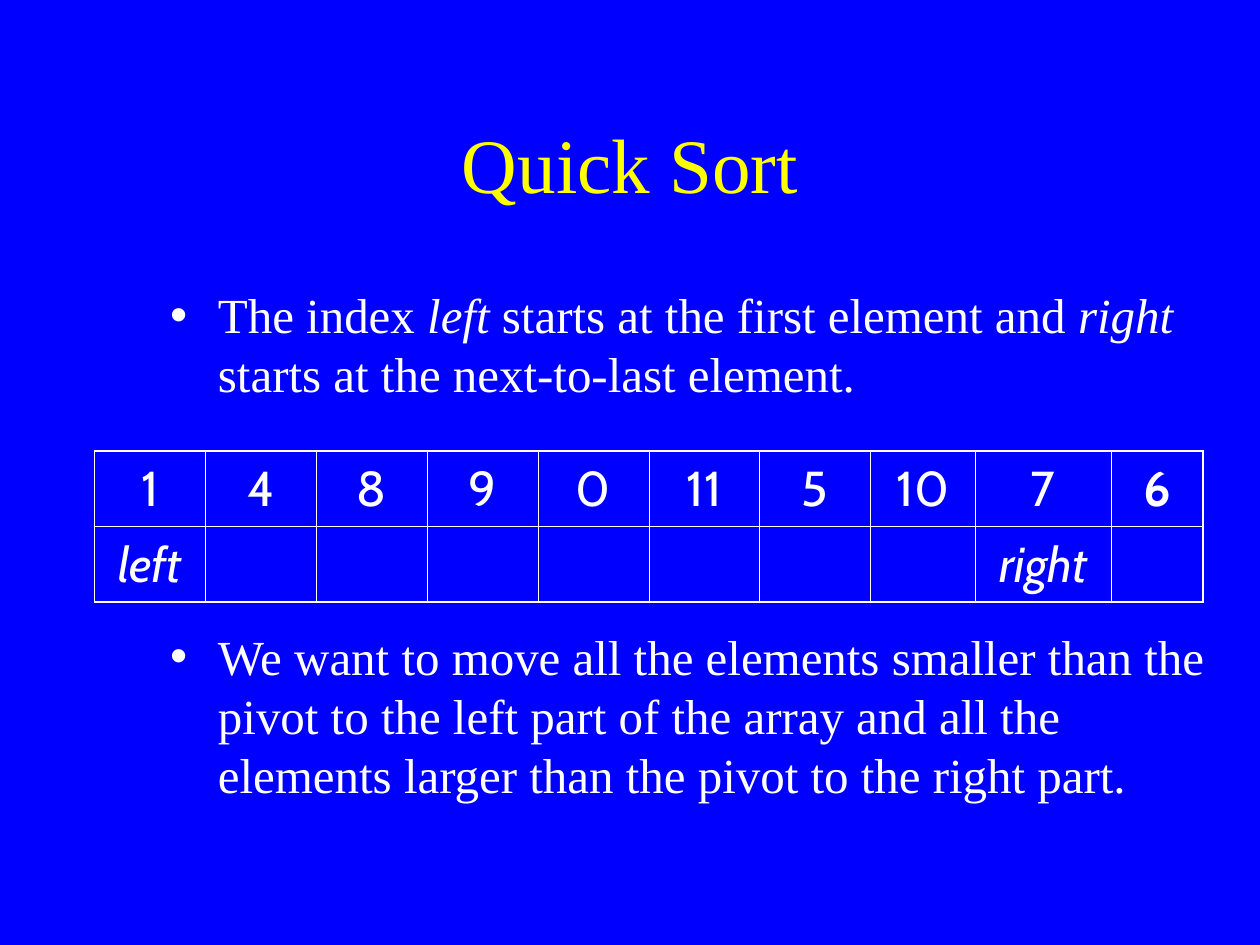
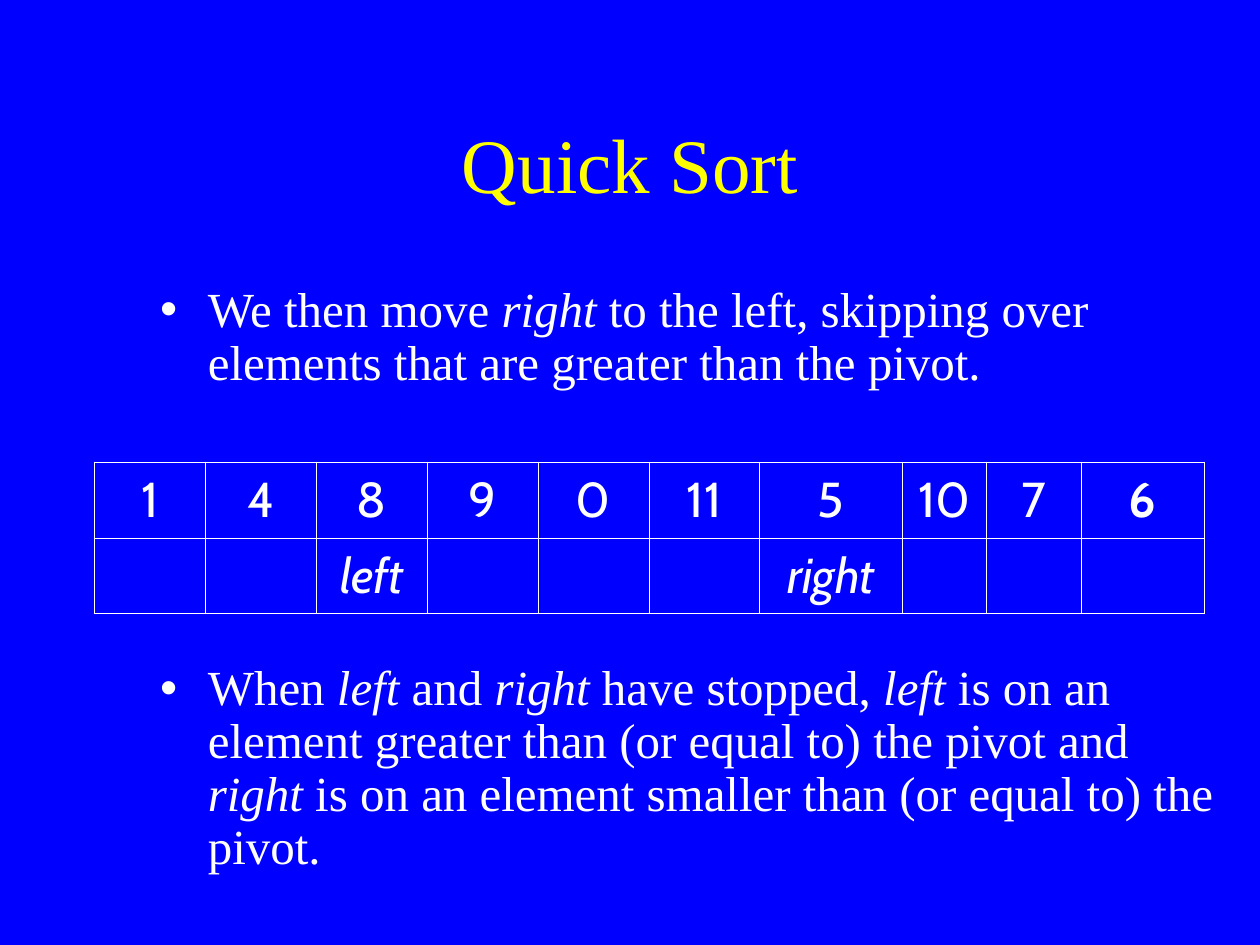
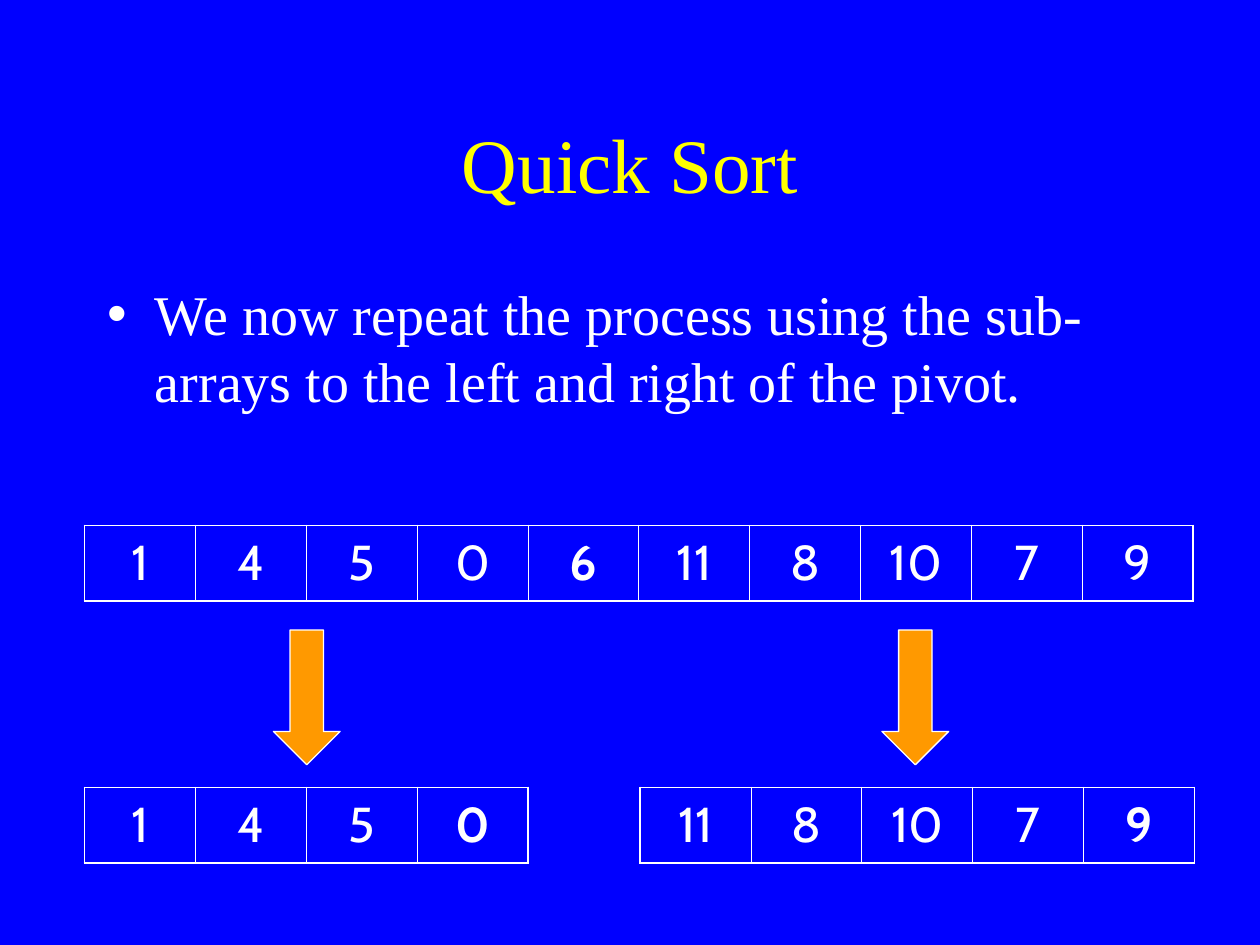
from lxml import etree
from pptx import Presentation
from pptx.dml.color import RGBColor
from pptx.enum.shapes import MSO_SHAPE
from pptx.enum.text import MSO_ANCHOR, MSO_AUTO_SIZE, PP_ALIGN
from pptx.oxml.ns import qn
from pptx.util import Inches, Pt

CENTER = PP_ALIGN.CENTER
LEFT = PP_ALIGN.LEFT
MIDDLE = MSO_ANCHOR.MIDDLE
TOP = MSO_ANCHOR.TOP
NO_AUTOFIT = MSO_AUTO_SIZE.NONE
DOWN_ARROW = MSO_SHAPE.DOWN_ARROW

COLORS = {"background": "0000FF", "title": "FFFF00", "text": "FFFFFF", "arrow": "FF9900"}
TEXT_FONT = "Times New Roman"
CELL_FONT = "Cabin"
TITLE = "Quick Sort"
TITLE_BOX = (0.75, 0.67, 8.5, 1.25)
INDENT = 0.38
CELL_WIDTH = 0.88
ROW_HEIGHT = 0.6
OUTER_LINE = 1.08
INNER_LINE = 0.45
ARROW_SIZE = (0.53, 1.07)

SLIDES = [
    {
        "body": (1.25, 2.21, 8.54, 5.29),
        "size": 28,
        "line_spacing": 1.0,
        "gap": 128,
        "bullets": [
            "The index *left* starts at the first element and *right* starts at the next-to-last element.",
            "We want to move all the elements smaller than the pivot to the left part of the array "
            "and all the elements larger than the pivot to the right part.",
        ],
        "arrays": [
            {"at": (0.75, 3.58), "values": [1, 4, 8, 9, 0, 11, 5, 10, 7, 6], "bold": 9,
             "markers": {0: "left", 8: "right"}, "widths": {7: 0.83, 8: 1.08, 9: 0.73}},
        ],
        "arrows": [],
    },
    {
        "body": (1.17, 2.21, 8.63, 5.04),
        "size": 28,
        "line_spacing": 0.9,
        "gap": 156,
        "bullets": [
            "We then move *right* to the left, skipping over elements that are greater than the pivot.",
            "When *left* and *right* have stopped, *left* is on an element greater than (or equal to) "
            "the pivot and *right* is on an element smaller than (or equal to) the pivot.",
        ],
        "arrays": [
            {"at": (0.75, 3.67), "values": [1, 4, 8, 9, 0, 11, 5, 10, 7, 6], "bold": 9,
             "markers": {2: "left", 6: "right"}, "widths": {6: 1.13, 7: 0.67, 8: 0.75, 9: 0.98}},
        ],
        "arrows": [],
    },
    {
        "body": (0.75, 2.17, 8.5, 4.5),
        "size": 32,
        "line_spacing": 1.0,
        "gap": 0,
        "bullets": ["We now repeat the process using the sub-arrays to the left and right of the pivot."],
        "arrays": [
            {"at": (0.67, 4.17), "values": [1, 4, 5, 0, 6, 11, 8, 10, 7, 9], "bold": 4},
            {"at": (0.67, 6.25), "values": [1, 4, 5, 0], "bold": 3},
            {"at": (5.08, 6.25), "values": [11, 8, 10, 7, 9], "bold": 4},
        ],
        "arrows": [(2.17, 5), (7, 5)],
    },
]


def color(name):
    return RGBColor.from_string(COLORS[name])


def place(shape, box):
    shape.left, shape.top, shape.width, shape.height = map(Inches, box)


def style_font(font, name, size, color_name):
    font.name = name
    font.size = Pt(size)
    font.color.rgb = color(color_name)


def add_title(slide):
    title = slide.shapes.title
    place(title, TITLE_BOX)
    title.text_frame.text = TITLE
    title.text_frame.vertical_anchor = MIDDLE
    paragraph = title.text_frame.paragraphs[0]
    paragraph.alignment = CENTER
    style_font(paragraph.font, TEXT_FONT, 44, "title")


def add_bullet_mark(paragraph):
    properties = paragraph._p.get_or_add_pPr()
    properties.set("marL", str(Inches(INDENT)))
    properties.set("indent", str(-Inches(INDENT)))
    bullet_color = etree.SubElement(properties, qn("a:buClr"))
    etree.SubElement(bullet_color, qn("a:srgbClr"), val=COLORS["text"])
    etree.SubElement(properties, qn("a:buChar"), char="•")


def add_body(slide, content):
    body = slide.placeholders[1]
    place(body, content["body"])
    frame = body.text_frame
    frame.vertical_anchor = TOP
    frame.auto_size = NO_AUTOFIT
    for index, bullet in enumerate(content["bullets"]):
        paragraph = frame.add_paragraph() if index else frame.paragraphs[0]
        add_bullet_mark(paragraph)
        paragraph.alignment = LEFT
        paragraph.line_spacing = content["line_spacing"]
        paragraph.space_before = Pt(content["gap"] if index else 0)
        style_font(paragraph.font, TEXT_FONT, content["size"], "text")
        for position, part in enumerate(bullet.split("*")):
            if part:
                run = paragraph.add_run()
                run.text = part
                if position % 2:
                    run.font.italic = True


def set_borders(cell, outer_sides):
    properties = cell._tc.get_or_add_tcPr()
    for side in "LRTB":
        width = OUTER_LINE if side in outer_sides else INNER_LINE
        line = etree.SubElement(properties, qn(f"a:ln{side}"), w=str(Pt(width)))
        fill = etree.SubElement(line, qn("a:solidFill"))
        etree.SubElement(fill, qn("a:srgbClr"), val=COLORS["text"])


def add_array(slide, array):
    values = array["values"]
    rows = [values]
    if "markers" in array:
        rows.append([array["markers"].get(column, "") for column in range(len(values))])
    widths = [array.get("widths", {}).get(column, CELL_WIDTH) for column in range(len(values))]
    left, top = array["at"]
    frame = slide.shapes.add_table(
        len(rows), len(values), Inches(left), Inches(top),
        Inches(sum(widths)), Inches(ROW_HEIGHT * len(rows)))
    table = frame.table
    table.first_row = False
    table.horz_banding = False
    for column, width in zip(table.columns, widths):
        column.width = Inches(width)
    for row, texts in enumerate(rows):
        for column, text in enumerate(texts):
            cell = table.cell(row, column)
            edges = {"L": column == 0, "R": column == len(values) - 1,
                     "T": row == 0, "B": row == len(rows) - 1}
            set_borders(cell, [side for side, is_outer in edges.items() if is_outer])
            cell.fill.background()
            cell.vertical_anchor = MIDDLE
            cell.text = str(text)
            paragraph = cell.text_frame.paragraphs[0]
            paragraph.alignment = CENTER
            style_font(paragraph.font, CELL_FONT, 28, "text")
            paragraph.font.bold = row == 0 and column == array["bold"]
            paragraph.font.italic = row == 1


def add_arrow(slide, position):
    arrow = slide.shapes.add_shape(DOWN_ARROW, *map(Inches, position + ARROW_SIZE))
    arrow.shadow.inherit = False
    arrow.fill.solid()
    arrow.fill.fore_color.rgb = color("arrow")
    arrow.line.color.rgb = color("text")
    arrow.line.width = Pt(0.75)


def main():
    presentation = Presentation()
    presentation.slide_width = Inches(10)
    presentation.slide_height = Inches(7.5)
    background = presentation.slide_master.background.fill
    background.solid()
    background.fore_color.rgb = color("background")
    for content in SLIDES:
        slide = presentation.slides.add_slide(presentation.slide_layouts[1])
        add_title(slide)
        add_body(slide, content)
        for array in content["arrays"]:
            add_array(slide, array)
        for position in content["arrows"]:
            add_arrow(slide, position)
    presentation.save("out.pptx")


if __name__ == "__main__":
    main()
